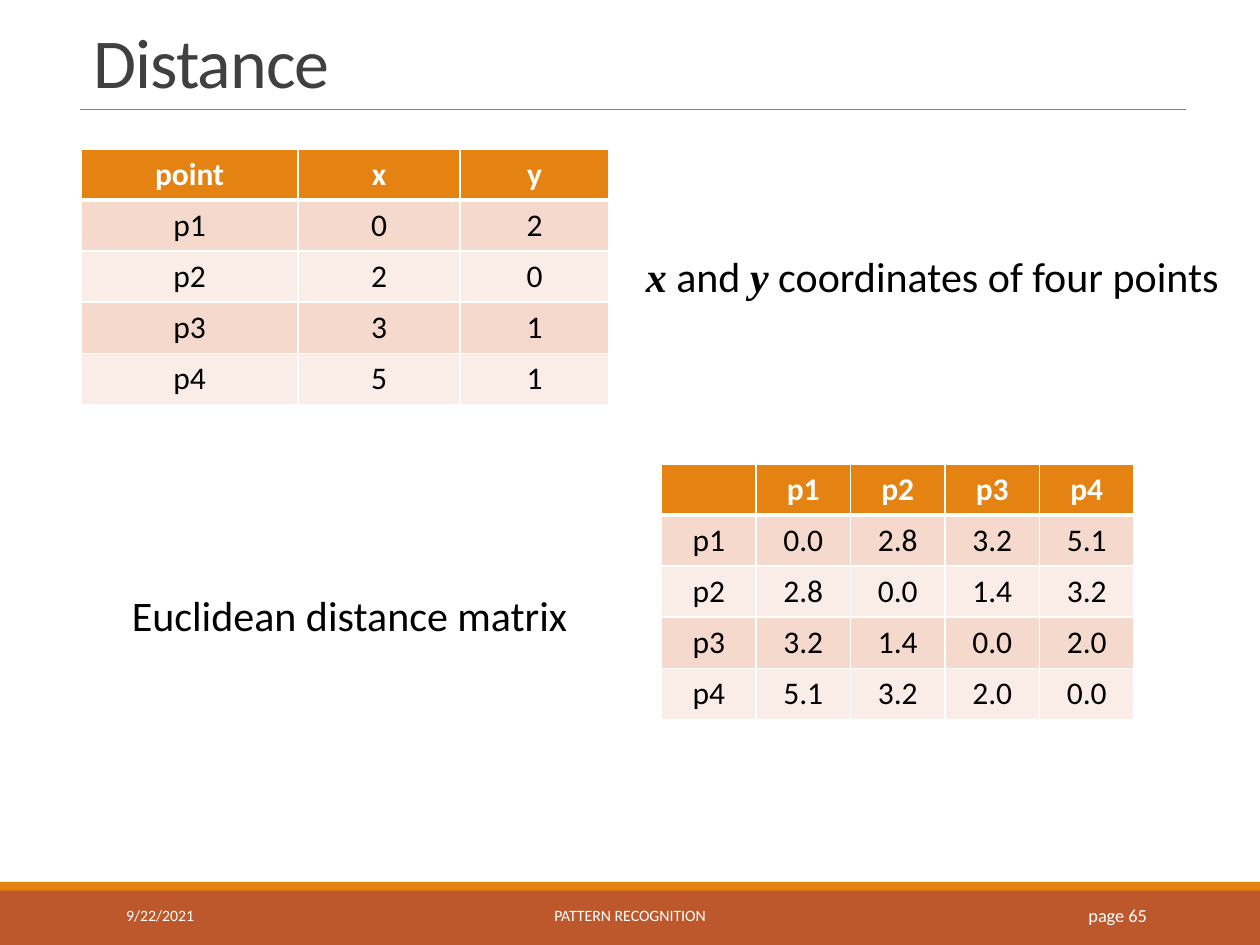
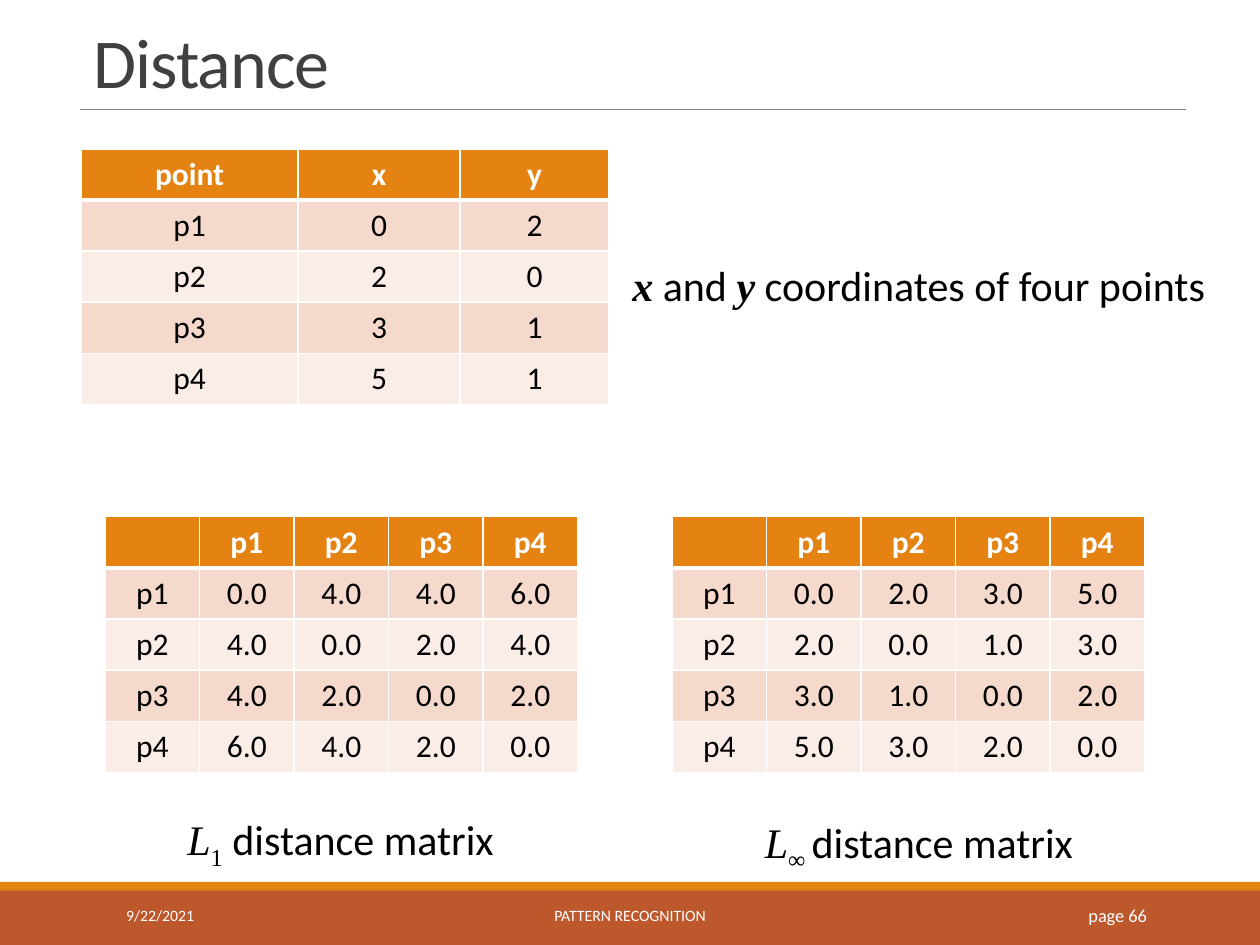
"""Build two slides on distance matrices between four points."""
from dataclasses import dataclass
from math import hypot

from pptx import Presentation
from pptx.dml.color import RGBColor
from pptx.enum.shapes import MSO_CONNECTOR as Connector, MSO_SHAPE as Shape
from pptx.enum.text import MSO_ANCHOR as Anchor, MSO_AUTO_SIZE as AutoSize, PP_ALIGN as Align
from pptx.oxml import parse_xml
from pptx.oxml.ns import nsdecls
from pptx.util import Pt


@dataclass(frozen=True)
class Theme:
    sans: str = "Calibri"
    serif: str = "Times New Roman"
    white: str = "FFFFFF"
    black: str = "000000"
    heading: str = "404040"
    rule: str = "808080"
    orange: str = "E48312"
    rust: str = "BD582C"
    bands: tuple = ("F5D9CC", "FAEDE7")
    title_size: float = 40
    label_size: float = 24
    cell_size: float = 18
    page_size: float = 10.5
    footer_size: float = 9


THEME = Theme()
POINTS = {"p1": (0, 2), "p2": (2, 0), "p3": (3, 1), "p4": (5, 1)}
ROW_HEIGHT = 29.25
COORDINATE_LABEL = (
    ("x", dict(font=THEME.serif, bold=True, italic=True)),
    (" and ", {}),
    ("y", dict(font=THEME.serif, bold=True, italic=True)),
    (" coordinates of four points", {}),
)


def write(para, text, font=THEME.sans, size=THEME.label_size, color=THEME.black,
          bold=False, italic=False, baseline=None, spacing=None):
    span = para.add_run()
    span.text = text
    span.font.name = font
    span.font.size = Pt(size)
    span.font.color.rgb = RGBColor.from_string(color)
    span.font.bold = bold
    span.font.italic = italic
    for name, value in (("baseline", baseline), ("spc", spacing)):
        if value is not None:
            span._r.get_or_add_rPr().set(name, str(value))


def border(cell, **widths):
    properties = cell._tc.get_or_add_tcPr()
    for side in "LRTB":
        properties.append(parse_xml(
            f'<a:ln{side} {nsdecls("a")} w="{Pt(widths.get(side, 1))}"><a:solidFill>'
            f'<a:srgbClr val="{THEME.white}"/></a:solidFill></a:ln{side}>'))


def manhattan(dx, dy):
    return abs(dx) + abs(dy)


def chebyshev(dx, dy):
    return max(abs(dx), abs(dy))


def coordinate_rows():
    return [["point", "x", "y"]] + [[name, str(x), str(y)] for name, (x, y) in POINTS.items()]


def distance_rows(metric):
    rows = [["", *POINTS]]
    for name, (x, y) in POINTS.items():
        rows.append([name] + [f"{metric(x - u, y - v):.1f}" for u, v in POINTS.values()])
    return rows


class SlideBuilder:
    def __init__(self, deck, theme):
        self.deck = deck
        self.theme = theme
        self.page = None

    def start(self, title, number):
        theme = self.theme
        self.page = self.deck.slides.add_slide(self.deck.slide_layouts[5])
        self.rule(46, 62.6, 677.5)
        self.band(508.3, 31.7, theme.rust)
        self.band(504, 5, theme.orange)
        self.title(title)
        self.footer("9/22/2021", 65, 146, Align.LEFT, theme.footer_size)
        self.footer("PATTERN RECOGNITION", 217.5, 285, Align.CENTER, theme.footer_size)
        self.footer(f"page {number}", 584.5, 78, Align.RIGHT, theme.page_size)

    def rule(self, left, top, right):
        line = self.page.shapes.add_connector(
            Connector.STRAIGHT, Pt(left), Pt(top), Pt(right), Pt(top))
        line.line.color.rgb = RGBColor.from_string(self.theme.rule)
        line.line.width = Pt(0.5)
        line._element.spPr.append(parse_xml(f'<a:effectLst {nsdecls("a")}/>'))

    def band(self, top, height, color):
        band = self.page.shapes.add_shape(
            Shape.RECTANGLE, 0, Pt(top), self.deck.slide_width, Pt(height))
        band.shadow.inherit = False
        band.fill.solid()
        band.fill.fore_color.rgb = RGBColor.from_string(color)
        band.line.fill.background()

    def title(self, text):
        box = self.page.shapes.title
        box.left, box.top, box.width, box.height = Pt(46), Pt(9.5), Pt(631.5), Pt(53)
        frame = box.text_frame
        frame.auto_size = AutoSize.NONE
        frame.vertical_anchor = Anchor.BOTTOM
        para = frame.paragraphs[0]
        para.alignment = Align.LEFT
        para.line_spacing = 0.85
        write(para, text, size=self.theme.title_size, color=self.theme.heading, spacing=-50)

    def footer(self, text, left, width, align, size):
        box = self.page.shapes.add_textbox(Pt(left), Pt(508.5), Pt(width), Pt(28.75))
        box.text_frame.word_wrap = True
        box.text_frame.vertical_anchor = Anchor.MIDDLE
        para = box.text_frame.paragraphs[0]
        para.alignment = align
        write(para, text, size=size, color=self.theme.white)

    def label(self, spans, left, top, width):
        box = self.page.shapes.add_textbox(Pt(left), Pt(top), Pt(width), Pt(36.35))
        box.text_frame.word_wrap = False
        box.text_frame.auto_size = AutoSize.SHAPE_TO_FIT_TEXT
        for text, style in spans:
            write(box.text_frame.paragraphs[0], text, **style)

    def table(self, rows, left, top, widths, inset=7.2):
        theme = self.theme
        grid = self.page.shapes.add_table(
            len(rows), len(widths), Pt(left), Pt(top),
            Pt(sum(widths)), Pt(ROW_HEIGHT * len(rows))).table
        for column, width in zip(grid.columns, widths):
            column.width = Pt(width)
        for index, row in enumerate(rows):
            header = index == 0
            fill = theme.orange if header else theme.bands[(index - 1) % 2]
            for cell, text in zip(grid.rows[index].cells, row):
                border(cell, B=3 if header else 1, T=3 if index == 1 else 1)
                cell.fill.solid()
                cell.fill.fore_color.rgb = RGBColor.from_string(fill)
                cell.margin_left = cell.margin_right = Pt(inset)
                para = cell.text_frame.paragraphs[0]
                para.alignment = Align.CENTER
                if text:
                    write(para, text, size=theme.cell_size, bold=header,
                          color=theme.white if header else theme.black)

    def coordinates(self):
        self.table(coordinate_rows(), 46.5, 85, (123.75, 92.75, 85), inset=19.5)

    def matrix(self, metric, left, top):
        self.table(distance_rows(metric), left, top, [54] * (len(POINTS) + 1))


def main():
    deck = Presentation()
    deck.slide_width, deck.slide_height = Pt(720), Pt(540)
    slides = SlideBuilder(deck, THEME)

    slides.start("Distance", 65)
    slides.coordinates()
    slides.matrix(hypot, 378, 265)
    slides.label(COORDINATE_LABEL, 362, 139.75, 346.5)
    slides.label([("Euclidean distance matrix", {})], 68.25, 333.5, 265.5)

    slides.start("Distance", 66)
    slides.coordinates()
    slides.label(COORDINATE_LABEL, 354.25, 145, 346.5)
    norms = (
        (manhattan, 60, "1", " distance matrix", 100, 461.5, 193.5),
        (chebyshev, 384, "∞ ", "distance matrix", 430, 463, 196),
    )
    for metric, matrix_left, order, ending, left, top, width in norms:
        slides.matrix(metric, matrix_left, 295.25)
        spans = (
            ("L", dict(font=THEME.serif, italic=True)),
            (order, dict(font=THEME.serif, baseline=-25000)),
            (ending, {}),
        )
        slides.label(spans, left, top, width)

    deck.save("out.pptx")


if __name__ == "__main__":
    main()
